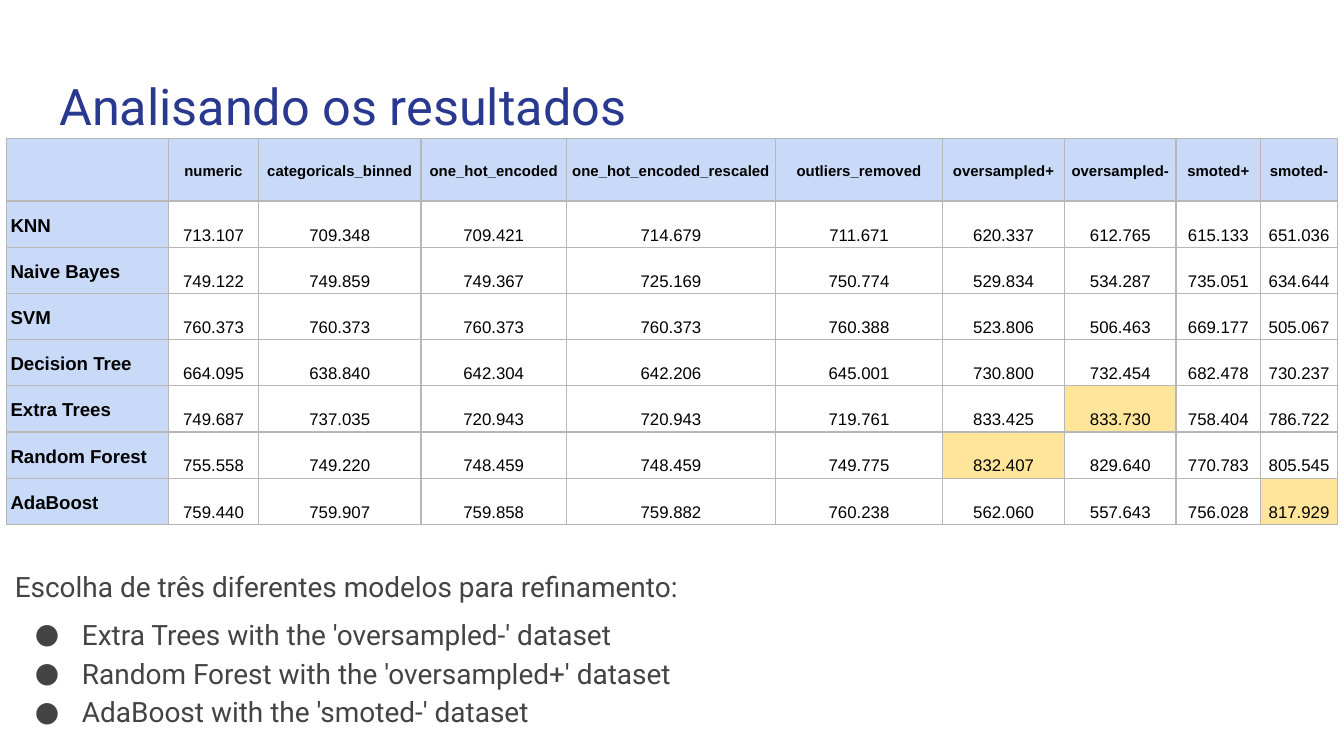
from lxml import etree
from pptx import Presentation
from pptx.dml.color import RGBColor
from pptx.enum.text import MSO_ANCHOR, MSO_AUTO_SIZE, PP_ALIGN
from pptx.oxml import parse_xml
from pptx.oxml.ns import nsdecls, qn
from pptx.util import Pt

LEFT, CENTER = PP_ALIGN.LEFT, PP_ALIGN.CENTER
TOP, MIDDLE, BOTTOM = MSO_ANCHOR.TOP, MSO_ANCHOR.MIDDLE, MSO_ANCHOR.BOTTOM
NO_AUTOFIT, FIT_SHAPE = MSO_AUTO_SIZE.NONE, MSO_AUTO_SIZE.SHAPE_TO_FIT_TEXT

HEADER_BLUE, HIGHLIGHT, WHITE = "C9DAF8", "FFE599", "FFFFFF"
BORDER_GRAY, TITLE_BLUE, BODY_GRAY = "B7B7B7", "2A3990", "434343"


def color(hex_string):
    return RGBColor.from_string(hex_string)


def write_text(para, text, size=9, font="Arial", ink="000000", bold=False,
               align=LEFT, spacing=1.15, before=0):
    para.alignment = align
    para.line_spacing = spacing
    para.space_before = Pt(before)
    span = para.add_run()
    span.text = text
    span.font.size = Pt(size)
    span.font.name = font
    span.font.bold = bold
    span.font.color.rgb = color(ink)


deck = Presentation()
deck.slide_width, deck.slide_height = Pt(720), Pt(405)
page = deck.slides.add_slide(deck.slide_layouts[1])
title, body = page.placeholders

placements = [
    (title, (24.5, 32.4, 671, 47.5), BOTTOM, NO_AUTOFIT),
    (body, (0.7, 295.2, 666.7, 100.8), TOP, FIT_SHAPE),
]
for box, place, anchor, fit in placements:
    box.left, box.top, box.width, box.height = [Pt(length) for length in place]
    frame = box.text_frame
    frame.margin_left = frame.margin_right = Pt(7.2)
    frame.margin_top = frame.margin_bottom = Pt(7.2)
    frame.vertical_anchor = anchor
    frame.auto_size = fit
    frame.word_wrap = True

write_text(title.text_frame.paragraphs[0], "Analisando os resultados",
           size=27, font="Roboto", ink=TITLE_BLUE, spacing=1)

datasets = ["", "numeric", "categoricals_binned", "one_hot_encoded",
            "one_hot_encoded_rescaled", "outliers_removed", "oversampled+",
            "oversampled-", "smoted+", "smoted-"]
scores = [
    ["KNN", "713.107", "709.348", "709.421", "714.679", "711.671",
     "620.337", "612.765", "615.133", "651.036"],
    ["Naive Bayes", "749.122", "749.859", "749.367", "725.169", "750.774",
     "529.834", "534.287", "735.051", "634.644"],
    ["SVM", "760.373", "760.373", "760.373", "760.373", "760.388",
     "523.806", "506.463", "669.177", "505.067"],
    ["Decision Tree", "664.095", "638.840", "642.304", "642.206", "645.001",
     "730.800", "732.454", "682.478", "730.237"],
    ["Extra Trees", "749.687", "737.035", "720.943", "720.943", "719.761",
     "833.425", "833.730", "758.404", "786.722"],
    ["Random Forest", "755.558", "749.220", "748.459", "748.459", "749.775",
     "832.407", "829.640", "770.783", "805.545"],
    ["AdaBoost", "759.440", "759.907", "759.858", "759.882", "760.238",
     "562.060", "557.643", "756.028", "817.929"],
]
chosen = [("Extra Trees", "oversampled-"), ("Random Forest", "oversampled+"),
          ("AdaBoost", "smoted-")]
column_widths = [86.8, 48.2, 87.1, 77.9, 112, 89.5, 65.4, 59.7, 45.3, 41.2]
row_heights = [33.5] + [24.75] * len(scores)

table = page.shapes.add_table(
    len(row_heights), len(column_widths), Pt(3.5), Pt(74.2),
    Pt(sum(column_widths)), Pt(sum(row_heights))).table
for column, width in zip(table.columns, column_widths):
    column.width = Pt(width)
for row, height in zip(table.rows, row_heights):
    row.height = Pt(height)

for row_index, values in enumerate([datasets] + scores):
    for column_index, value in enumerate(values):
        cell = table.cell(row_index, column_index)
        cell.margin_left = cell.margin_right = Pt(2.2)
        cell.margin_top = cell.margin_bottom = Pt(1.4)
        is_header = row_index == 0 or column_index == 0
        cell.vertical_anchor = MIDDLE if is_header else BOTTOM

        properties = cell._tc.get_or_add_tcPr()
        for side in "LRTB":
            properties.append(parse_xml(
                f'<a:ln{side} {nsdecls("a")} w="{Pt(0.75)}"><a:solidFill>'
                f'<a:srgbClr val="{BORDER_GRAY}"/></a:solidFill></a:ln{side}>'))

        fill = WHITE
        if is_header:
            fill = HEADER_BLUE
        elif (values[0], datasets[column_index]) in chosen:
            fill = HIGHLIGHT
        cell.fill.solid()
        cell.fill.fore_color.rgb = color(fill)

        if value:
            size = 8 if row_index == 0 else 10 if column_index == 0 else 9
            align = LEFT if column_index == 0 else CENTER
            write_text(cell.text_frame.paragraphs[0], value, size=size,
                       bold=is_header, align=align)

lines = ["Escolha de três diferentes modelos para refinamento:"]
lines += [f"{model} with the '{dataset}' dataset" for model, dataset in chosen]
for index, line in enumerate(lines):
    frame = body.text_frame
    para = frame.add_paragraph() if index else frame.paragraphs[0]
    properties = para._p.get_or_add_pPr()
    properties.set("marL", str(Pt(36 if index else 0)))
    properties.set("indent", str(Pt(-25.2 if index else 0)))
    if index:
        bullet_color = etree.SubElement(properties, qn("a:buClr"))
        etree.SubElement(bullet_color, qn("a:srgbClr"), val=BODY_GRAY)
        etree.SubElement(properties, qn("a:buFont"), typeface="Roboto")
        etree.SubElement(properties, qn("a:buChar"), char="●")
    else:
        etree.SubElement(properties, qn("a:buNone"))
    write_text(para, line, size=15, font="Roboto", ink=BODY_GRAY,
               before=5 if index == 1 else 0)

deck.save("out.pptx")
